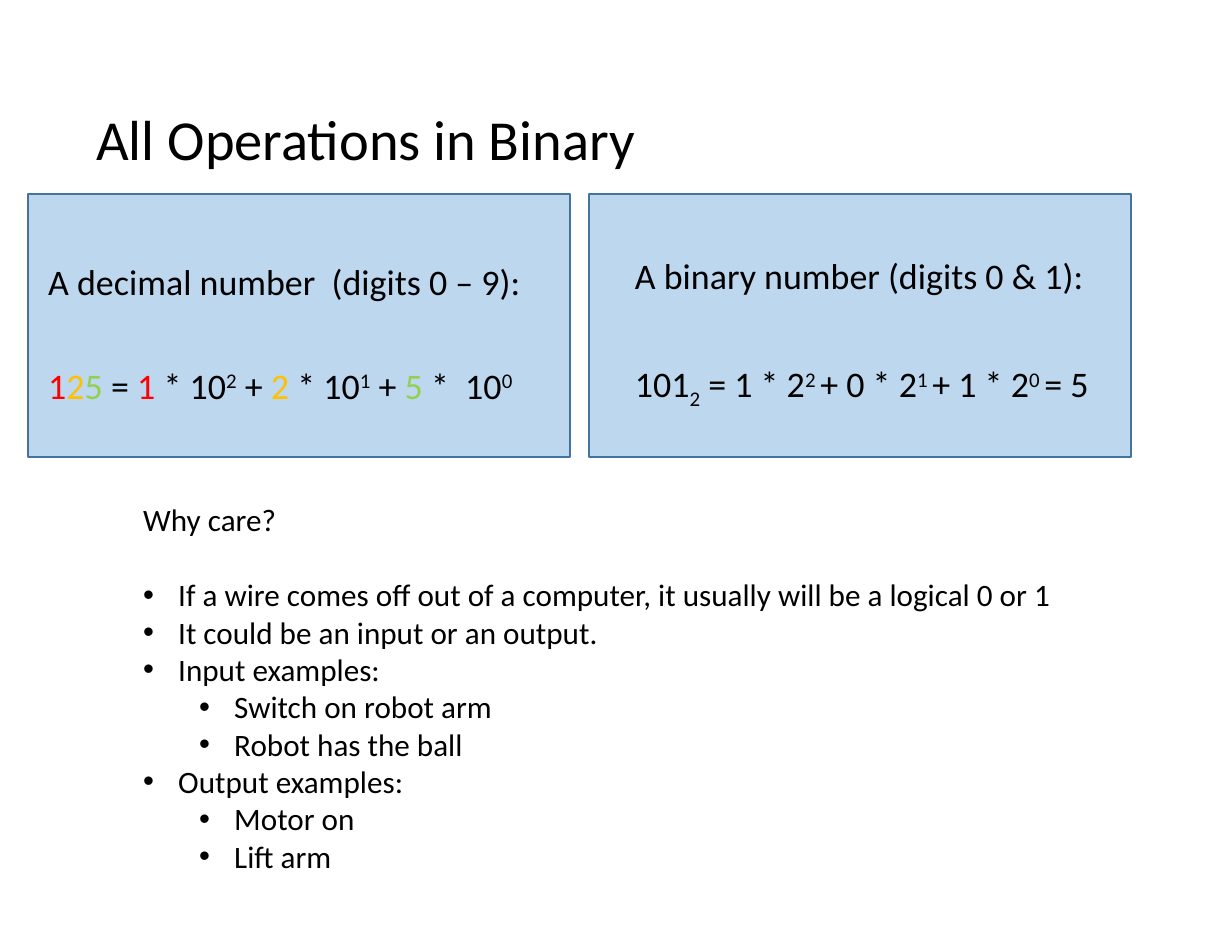
"""Build a slide that compares decimal and binary numbers."""
from dataclasses import dataclass

from lxml import etree
from pptx import Presentation
from pptx.dml.color import RGBColor
from pptx.enum.shapes import MSO_SHAPE
from pptx.enum.text import MSO_ANCHOR, MSO_AUTO_SIZE, PP_ALIGN
from pptx.oxml.ns import qn
from pptx.slide import Slide
from pptx.text.text import TextFrame
from pptx.util import Pt

RECTANGLE = MSO_SHAPE.RECTANGLE
TOP, MIDDLE = MSO_ANCHOR.TOP, MSO_ANCHOR.MIDDLE
NO_AUTOFIT = MSO_AUTO_SIZE.NONE
LEFT = PP_ALIGN.LEFT

BLACK = RGBColor(0, 0, 0)
RED = RGBColor(0xFF, 0, 0)
GOLD = RGBColor(0xFF, 0xC0, 0)
GREEN = RGBColor(0x92, 0xD0, 0x50)
PANEL_FILL = RGBColor(0xBD, 0xD7, 0xEE)
PANEL_LINE = RGBColor(0x43, 0x73, 0x9E)

FONT = "Calibri"
TITLE_SIZE, NUMBER_SIZE, NOTE_SIZE = 36.3, 23.1, 20
SUPERSCRIPT, SUBSCRIPT = 30, -25
PANEL_TOP, PANEL_WIDTH, PANEL_HEIGHT = 124.6, 348.5, 169.2
HEADING_GAP, FORMULA_GAP, NOTE_GAP = 8.2, 41.8, 24.4
BULLET_INDENT, LEVEL_INDENT = 22.5, 36


@dataclass(frozen=True)
class Segment:
    """A stretch of text with one colour and baseline."""
    text: str
    color: RGBColor = BLACK
    baseline: int = 0


@dataclass(frozen=True)
class Box:
    """A position and size in points."""
    left: float
    top: float
    width: float
    height: float

    def lengths(self) -> tuple[Pt, Pt, Pt, Pt]:
        """Return the four lengths for python-pptx."""
        return Pt(self.left), Pt(self.top), Pt(self.width), Pt(self.height)


@dataclass(frozen=True)
class NumberPanel:
    """A panel with a heading and a formula."""
    left: float
    text_box: Box
    heading: str
    formula: tuple[Segment, ...]


@dataclass(frozen=True)
class Note:
    """A bulleted line."""
    text: str
    level: int = 0


TITLE_BOX = Box(54.7, 32.4, 683.3, 118.1)
NOTES_BOX = Box(85, 318.2, 607.7, 249.8)

PANELS = (
    NumberPanel(18, Box(23.8, 166.3, 336.2, 190.8), "A decimal number  (digits 0 – 9):", (
        Segment("1", RED), Segment("2", GOLD), Segment("5", GREEN), Segment(" = "),
        Segment("1", RED), Segment(" * 10"), Segment("2", baseline=SUPERSCRIPT), Segment(" + "),
        Segment("2", GOLD), Segment(" * 10"), Segment("1", baseline=SUPERSCRIPT), Segment(" + "),
        Segment("5", GREEN), Segment(" *  10"), Segment("0", baseline=SUPERSCRIPT),
    )),
    NumberPanel(378.6, Box(401, 162.7, 336.2, 388), "A binary number (digits 0 & 1):", (
        Segment("101"), Segment("2", baseline=SUBSCRIPT), Segment(" = 1 * 2"),
        Segment("2 ", baseline=SUPERSCRIPT), Segment("+ 0 * 2"),
        Segment("1 ", baseline=SUPERSCRIPT), Segment("+ 1 * 2"),
        Segment("0 ", baseline=SUPERSCRIPT), Segment("= 5"),
    )),
)

NOTES = (
    Note("If a wire comes off out of a computer, it usually will be a logical 0 or 1"),
    Note("It could be an input or an output."),
    Note("Input examples:"),
    Note("Switch on robot arm", 1),
    Note("Robot has the ball", 1),
    Note("Output examples:"),
    Note("Motor on", 1),
    Note("Lift arm", 1),
)


def add_paragraph(frame: TextFrame, *segments: Segment, size: float, line_spacing: float = 1,
                  space_before: float = 0, level: int = 0, bullet: bool = False) -> None:
    """Write one formatted paragraph, using the empty first one if there is one."""
    first = frame.paragraphs[0]
    paragraph = frame.add_paragraph() if first.runs else first
    paragraph.alignment = LEFT
    paragraph.level = level
    paragraph.line_spacing = line_spacing
    paragraph.space_before = Pt(space_before)
    paragraph.space_after = Pt(0)
    properties = paragraph._p.get_or_add_pPr()
    indent = BULLET_INDENT if bullet else 0
    properties.set("marL", str(Pt(indent + level * LEVEL_INDENT)))
    properties.set("indent", str(-Pt(indent)))
    if bullet:
        etree.SubElement(properties, qn("a:buFont")).set("typeface", "Arial")
        etree.SubElement(properties, qn("a:buChar")).set("char", "•")
    else:
        etree.SubElement(properties, qn("a:buNone"))
    for segment in segments:
        run = paragraph.add_run()
        run.text = segment.text
        run.font.name = FONT
        run.font.size = Pt(size)
        run.font.color.rgb = segment.color
        if segment.baseline:
            run._r.get_or_add_rPr().set("baseline", str(segment.baseline * 1000))


def prepare_placeholder(slide: Slide, index: int, box: Box, anchor: MSO_ANCHOR) -> TextFrame:
    """Move a placeholder and return its text frame."""
    placeholder = slide.placeholders[index]
    placeholder.left, placeholder.top, placeholder.width, placeholder.height = box.lengths()
    frame = placeholder.text_frame
    frame.word_wrap = True
    frame.auto_size = NO_AUTOFIT
    frame.vertical_anchor = anchor
    return frame


def add_panel(slide: Slide, index: int, panel: NumberPanel) -> None:
    """Draw a panel behind its placeholder and write its text."""
    box = Box(panel.left, PANEL_TOP, PANEL_WIDTH, PANEL_HEIGHT)
    shape = slide.shapes.add_shape(RECTANGLE, *box.lengths())
    shape.shadow.inherit = False
    shape.fill.solid()
    shape.fill.fore_color.rgb = PANEL_FILL
    shape.line.color.rgb = PANEL_LINE
    shape.line.width = Pt(1)
    slide.shapes.title.element.addprevious(shape.element)
    frame = prepare_placeholder(slide, index, panel.text_box, TOP)
    add_paragraph(frame, Segment(panel.heading), size=NUMBER_SIZE,
                  line_spacing=0.9, space_before=HEADING_GAP)
    add_paragraph(frame, *panel.formula, size=NUMBER_SIZE,
                  line_spacing=0.9, space_before=FORMULA_GAP)


def add_notes(slide: Slide) -> None:
    """Write the question and its bulleted answers."""
    frame = slide.shapes.add_textbox(*NOTES_BOX.lengths()).text_frame
    frame.word_wrap = True
    add_paragraph(frame, Segment("Why care?"), size=NOTE_SIZE)
    for position, note in enumerate(NOTES):
        add_paragraph(frame, Segment(note.text), size=NOTE_SIZE, level=note.level, bullet=True,
                      space_before=0 if position else NOTE_GAP)


def main() -> None:
    """Build and save the presentation."""
    presentation = Presentation()
    presentation.slide_width, presentation.slide_height = Pt(792), Pt(612)
    two_content = presentation.slide_layouts.get_by_name("Two Content")
    slide = presentation.slides.add_slide(two_content)
    title_frame = prepare_placeholder(slide, 0, TITLE_BOX, MIDDLE)
    add_paragraph(title_frame, Segment("All Operations in Binary"),
                  size=TITLE_SIZE, line_spacing=0.9)
    for index, panel in enumerate(PANELS, start=1):
        add_panel(slide, index, panel)
    add_notes(slide)
    presentation.save("out.pptx")


main()
